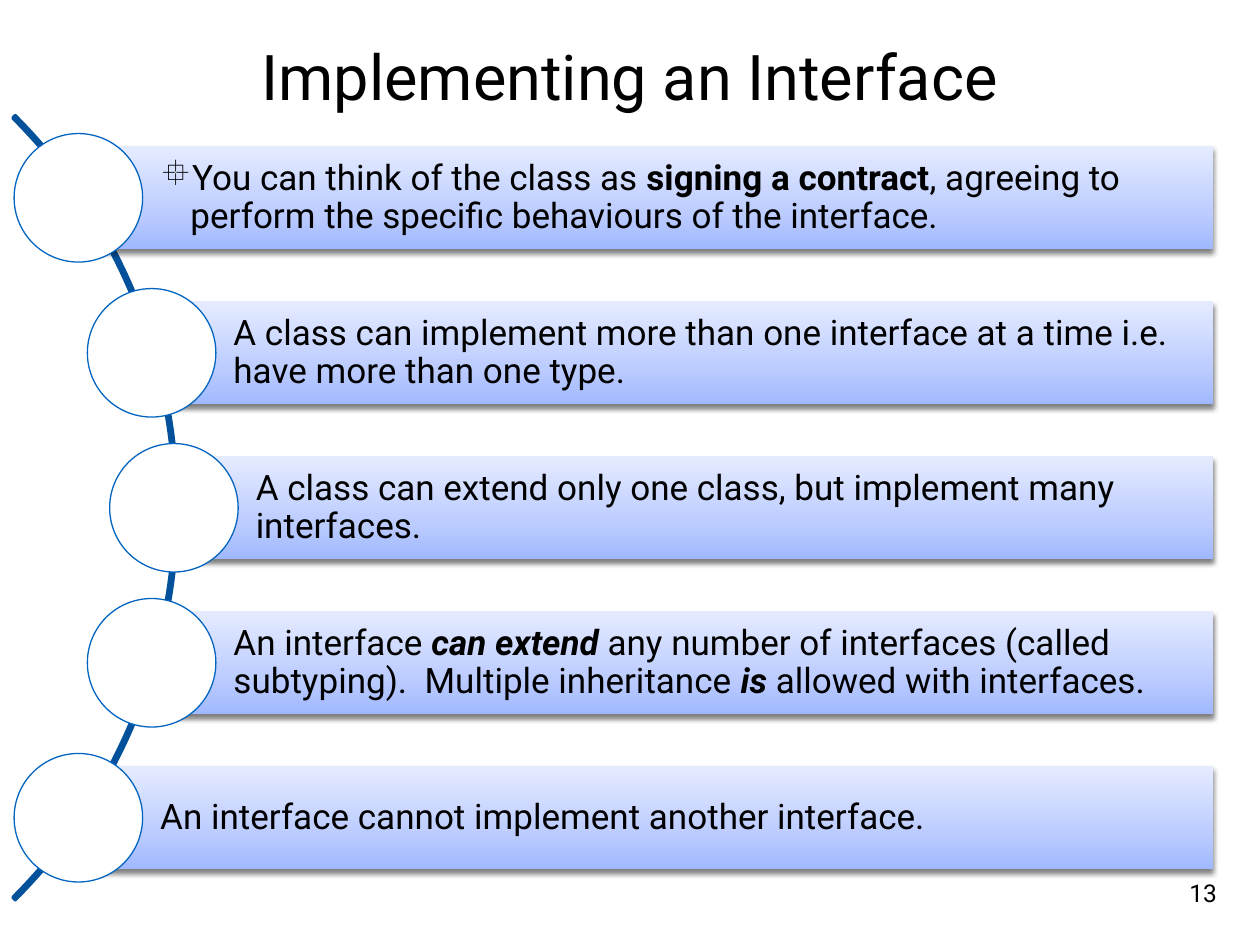
from math import sqrt

from lxml import etree
from pptx import Presentation
from pptx.dml.color import RGBColor
from pptx.enum.shapes import MSO_SHAPE
from pptx.enum.text import MSO_ANCHOR, PP_ALIGN
from pptx.oxml.ns import qn
from pptx.util import Inches, Pt

ARC, BAR, CIRCLE = MSO_SHAPE.BLOCK_ARC, MSO_SHAPE.RECTANGLE, MSO_SHAPE.OVAL
MIDDLE, TOP = MSO_ANCHOR.MIDDLE, MSO_ANCHOR.TOP
LEFT, CENTER = PP_ALIGN.LEFT, PP_ALIGN.CENTER

FONT = "Roboto"
BULLET_FONT, TARGET_BULLET = "Wingdings", "°"
COLORS = {
    "text": "000000",
    "circle": "FFFFFF",
    "circle_line": "0365C0",
    "arc": "02519A",
    "shadow": "000000",
}
BAR_STOPS = [(0, "A0B8FF"), (35, "BCCCFF"), (100, "E5EBFF")]

STATEMENTS = [
    [
        ("You can think of the class as ", False, False),
        ("signing a contract", True, False),
        (", agreeing to perform the specific behaviours of the interface.", False, False),
    ],
    [("A class can implement more than one interface at a time i.e. have more than one type.", False, False)],
    [("A class can extend only one class, but implement many interfaces.", False, False)],
    [
        ("An interface ", False, False),
        ("can extend ", True, True),
        ("any number of interfaces (called subtyping).  Multiple inheritance ", False, False),
        ("is", True, True),
        (" allowed with interfaces.", False, False),
    ],
    [("An interface cannot implement another interface.", False, False)],
]
BULLETED = 0


def rgb(name):
    """Return the named colour."""
    return RGBColor.from_string(COLORS[name])


def add_child(parent, tag, **attributes):
    """Append a DrawingML element and return it."""
    return etree.SubElement(parent, qn(tag), {key: str(value) for key, value in attributes.items()})


def write(frame, runs, size, align, anchor, insets):
    """Write one paragraph of (words, bold, italic) runs into a text frame."""
    frame.vertical_anchor = anchor
    frame.margin_left, frame.margin_top, frame.margin_right, frame.margin_bottom = map(Inches, insets)
    paragraph = frame.paragraphs[0]
    paragraph.alignment = align
    for words, bold, italic in runs:
        run = paragraph.add_run()
        run.text = words
        run.font.name, run.font.size = FONT, Pt(size)
        run.font.bold, run.font.italic = bold, italic
        run.font.color.rgb = rgb("text")
    return paragraph


def add_label(slide, box, words, size, anchor, inset, wrap):
    """Add a centred one-line text box."""
    label = slide.shapes.add_textbox(*map(Inches, box))
    label.text_frame.word_wrap = wrap
    write(label.text_frame, [(words, False, False)], size, CENTER, anchor, [inset] * 4)


def add_outlined(slide, kind, box, line, width):
    """Add a shape without shadow and with a coloured outline."""
    shape = slide.shapes.add_shape(kind, *map(Inches, box))
    shape.shadow.inherit = False
    shape.line.color.rgb = rgb(line)
    shape.line.width = Pt(width)
    return shape


def add_arc(slide, center_x, center_y, radius):
    """Add the thin arc that links the circles."""
    box = (center_x - radius, center_y - radius, 2 * radius, 2 * radius)
    arc = add_outlined(slide, ARC, box, "arc", 2)
    for index, value in enumerate((189, 27, 0.003)):
        arc.adjustments[index] = value
    arc.fill.background()


def style_bar(bar):
    """Give a bar its upward gradient and soft shadow."""
    bar.line.fill.background()
    bar.fill.gradient()
    bar.fill.gradient_angle = 90
    stops = bar.element.spPr.find(".//" + qn("a:gsLst"))
    stops[:] = []
    for percent, color in BAR_STOPS:
        add_child(add_child(stops, "a:gs", pos=percent * 1000), "a:srgbClr", val=color)
    bar.shadow.inherit = False
    shadow = add_child(bar.element.spPr.find(qn("a:effectLst")), "a:outerShdw",
                       blurRad=Pt(3), dist=Pt(2), dir=90 * 60000, rotWithShape=0)
    add_child(add_child(shadow, "a:srgbClr", val=COLORS["shadow"]), "a:alpha", val=50000)


def add_bullet(paragraph, indent):
    """Give a paragraph a hanging target bullet."""
    properties = paragraph._p.get_or_add_pPr()
    properties.set("marL", str(Inches(indent)))
    properties.set("indent", str(-Inches(indent)))
    add_child(add_child(properties, "a:buClr"), "a:srgbClr", val=COLORS["text"])
    add_child(properties, "a:buFont", typeface=BULLET_FONT, pitchFamily=2, charset=2)
    add_child(properties, "a:buChar", char=TARGET_BULLET)


def add_statement(slide, center_x, center_y, right, runs, bulleted):
    """Add a bar with its text and the circle on its left end."""
    height, diameter = 0.82, 1.02
    bar = slide.shapes.add_shape(
        BAR, *map(Inches, (center_x, center_y - height / 2, right - center_x, height)))
    style_bar(bar)
    bar.text_frame.word_wrap = True
    paragraph = write(bar.text_frame, runs, 20, LEFT, MIDDLE, (0.65, 0.06, 0.06, 0.06))
    paragraph.line_spacing = 0.9
    if bulleted:
        add_bullet(paragraph, 0.24)
    box = (center_x - diameter / 2, center_y - diameter / 2, diameter, diameter)
    circle = add_outlined(slide, CIRCLE, box, "circle_line", 0.75)
    circle.fill.solid()
    circle.fill.fore_color.rgb = rgb("circle")


def add_curved_list(slide, center_x, center_y, right):
    """Add the statements along the arc, evenly spaced from top to bottom."""
    row_pitch, circle_orbit = 1.23, 4.37
    add_arc(slide, center_x, center_y, 4.4)
    for row, runs in enumerate(STATEMENTS):
        drop = (row - (len(STATEMENTS) - 1) / 2) * row_pitch
        reach = sqrt(circle_orbit ** 2 - drop ** 2)
        add_statement(slide, center_x + reach, center_y + drop, right, runs, row == BULLETED)


def main():
    """Build the slide and save it."""
    deck = Presentation()
    deck.slide_width, deck.slide_height = Inches(10), Inches(7.5)
    slide = deck.slides.add_slide(deck.slide_layouts[6])
    add_label(slide, (0.5, 0, 9, 1.19), "Implementing an Interface", 36, MIDDLE, 0.06, True)
    add_curved_list(slide, -2.99, 4.03, 9.63)
    add_label(slide, (9.38, 6.97, 0.34, 0.33), "13", 14, TOP, 0, False)
    deck.save("out.pptx")


if __name__ == "__main__":
    main()
